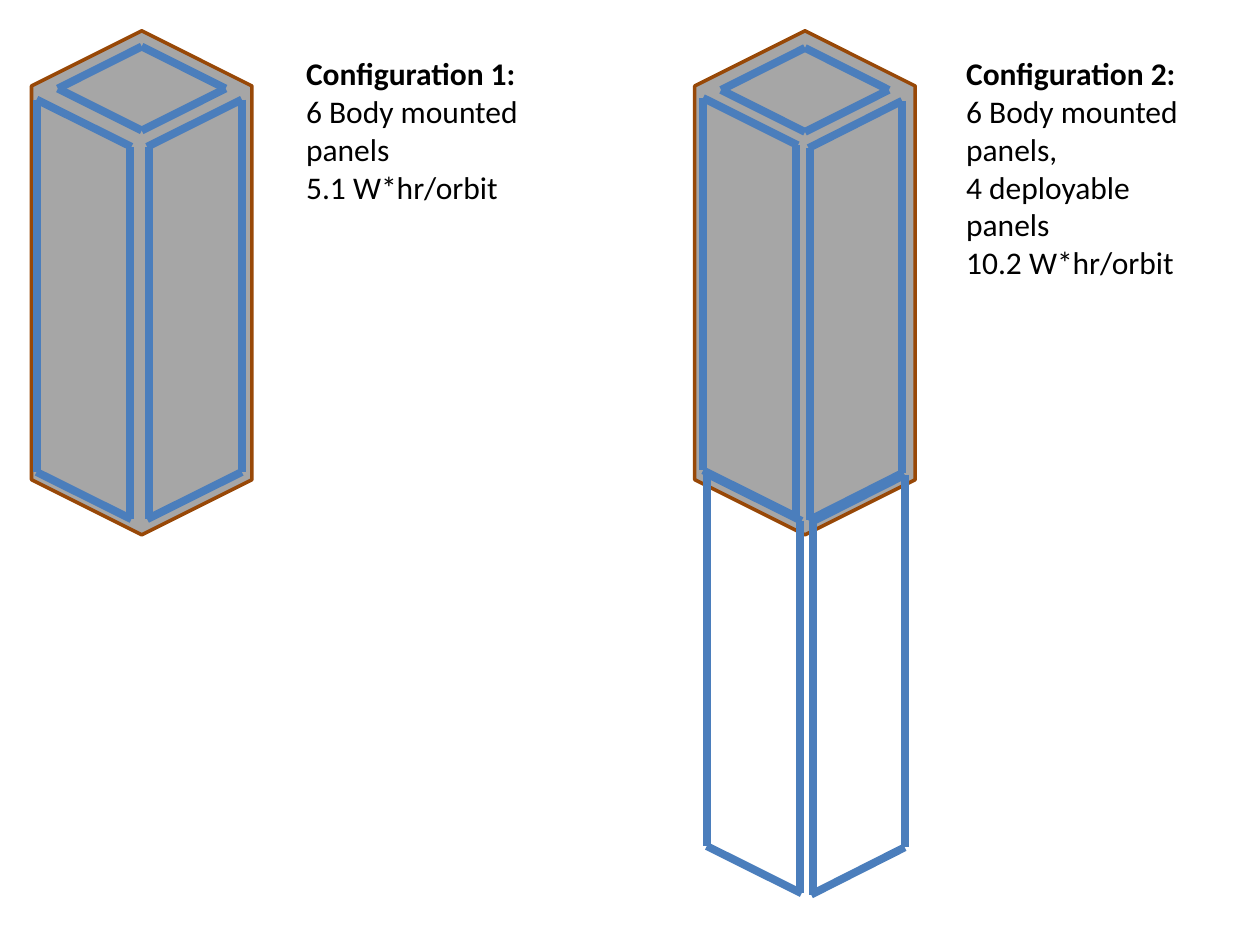
"""Build a slide comparing two solar panel configurations."""
from lxml.etree import SubElement
from pptx import Presentation
from pptx.dml.color import RGBColor
from pptx.enum.shapes import MSO_CONNECTOR, MSO_SHAPE
from pptx.enum.text import MSO_AUTO_SIZE
from pptx.oxml.ns import qn
from pptx.util import Pt

COLORS = {"body": "A6A6A6", "edge": "984807", "panel": "4B7EBC", "text": "000000"}
DROP, TALL = 27, 212.8
WIDE, HIGH = 47.9, 24
LAP = 0.9

CONFIGS = [
    {
        "mid": 81, "top": 26.6, "left": 167.8, "size": 94.3,
        "panels": [(20.9, 74.2, 56.9), (138.2, 85, 56.9)],
        "text": ["Configuration 1:", "6 Body mounted panels", "5.1 W*hr/orbit"],
    },
    {
        "mid": 460, "top": 27.4, "left": 545, "size": 138.2,
        "panels": [(515.5, 463, 57.6), (401.8, 455, 56),
                   (403.9, 457.2, 270.7), (517, 464.4, 271.4)],
        "text": ["Configuration 2:", "6 Body mounted panels,", "4 deployable panels",
                 "10.2 W*hr/orbit"],
    },
]


def color(name):
    """Return the named colour."""
    return RGBColor.from_string(COLORS[name])


def draw(group, start, end):
    """Draw one panel edge."""
    edge = group.shapes.add_connector(
        MSO_CONNECTOR.STRAIGHT, *[Pt(value) for value in (*start, *end)])
    edge.line.color.rgb = color("panel")
    edge.line.width = Pt(4.5)
    SubElement(edge._element.spPr, qn("a:effectLst"))


deck = Presentation()
deck.slide_width, deck.slide_height = Pt(720), Pt(540)
slide = deck.slides.add_slide(deck.slide_layouts[6])

for config in CONFIGS:
    group = slide.shapes.add_group_shape()
    mid, top = config["mid"], config["top"]
    body = group.shapes.add_shape(
        MSO_SHAPE.HEXAGON, Pt(mid - 144), Pt(98.6), Pt(288), Pt(126))
    body.rotation = 270
    body.shadow.inherit = False
    body.fill.solid()
    body.fill.fore_color.rgb = color("body")
    body.line.color.rgb = color("edge")
    body.line.width = Pt(2)

    for outer, inner, high in config["panels"]:
        tip = inner + (LAP if inner > outer else -LAP)
        low = high + TALL
        draw(group, (outer, low), (tip, low + DROP))
        draw(group, (outer, high), (outer, low))
        draw(group, (outer, high), (tip, high + DROP))
        draw(group, (inner, high + DROP), (inner, low + DROP))

    for side in (mid - WIDE, mid + WIDE):
        for end in (top, top + 2 * HIGH):
            draw(group, (side, top + HIGH), (mid, end))

    label = slide.shapes.add_textbox(
        Pt(config["left"]), Pt(27.4), Pt(138.2), Pt(config["size"]))
    frame = label.text_frame
    frame.word_wrap = True
    frame.auto_size = MSO_AUTO_SIZE.SHAPE_TO_FIT_TEXT
    for index, line in enumerate(config["text"]):
        para = frame.add_paragraph() if index else frame.paragraphs[0]
        run = para.add_run()
        run.text = line
        style = {"name": "Calibri", "size": Pt(18), "bold": index == 0}
        for key, value in style.items():
            setattr(run.font, key, value)
        run.font.color.rgb = color("text")

deck.save("out.pptx")
